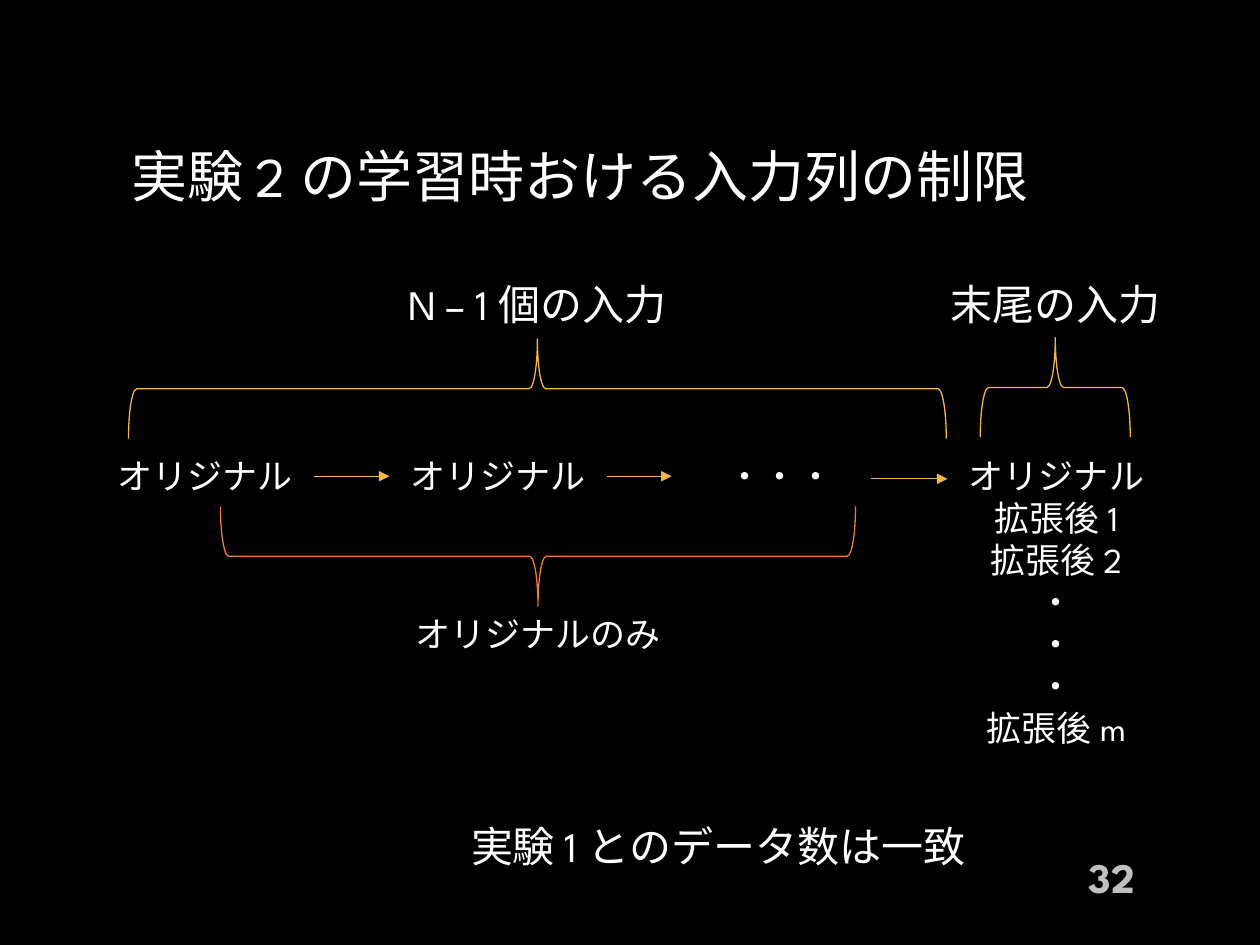
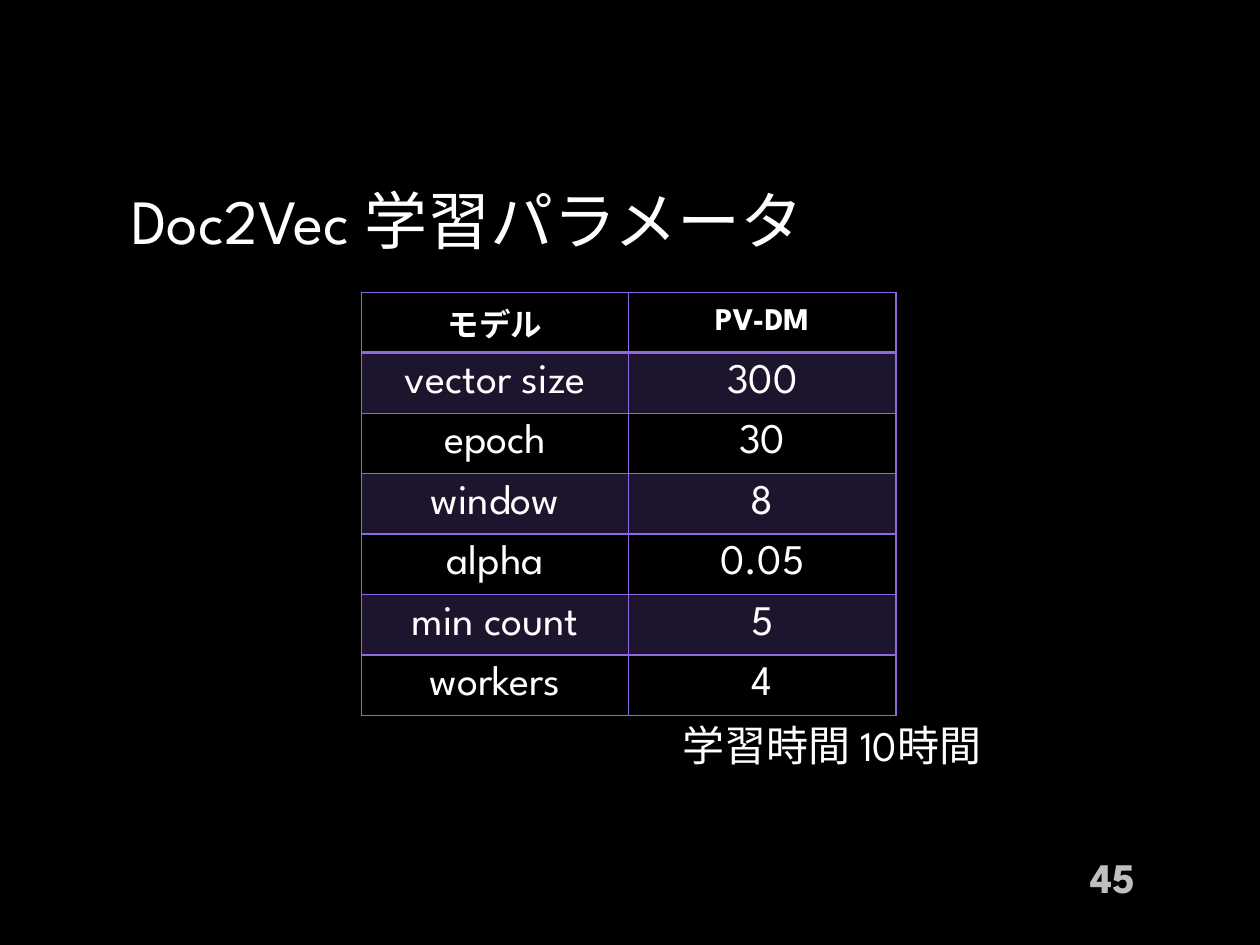
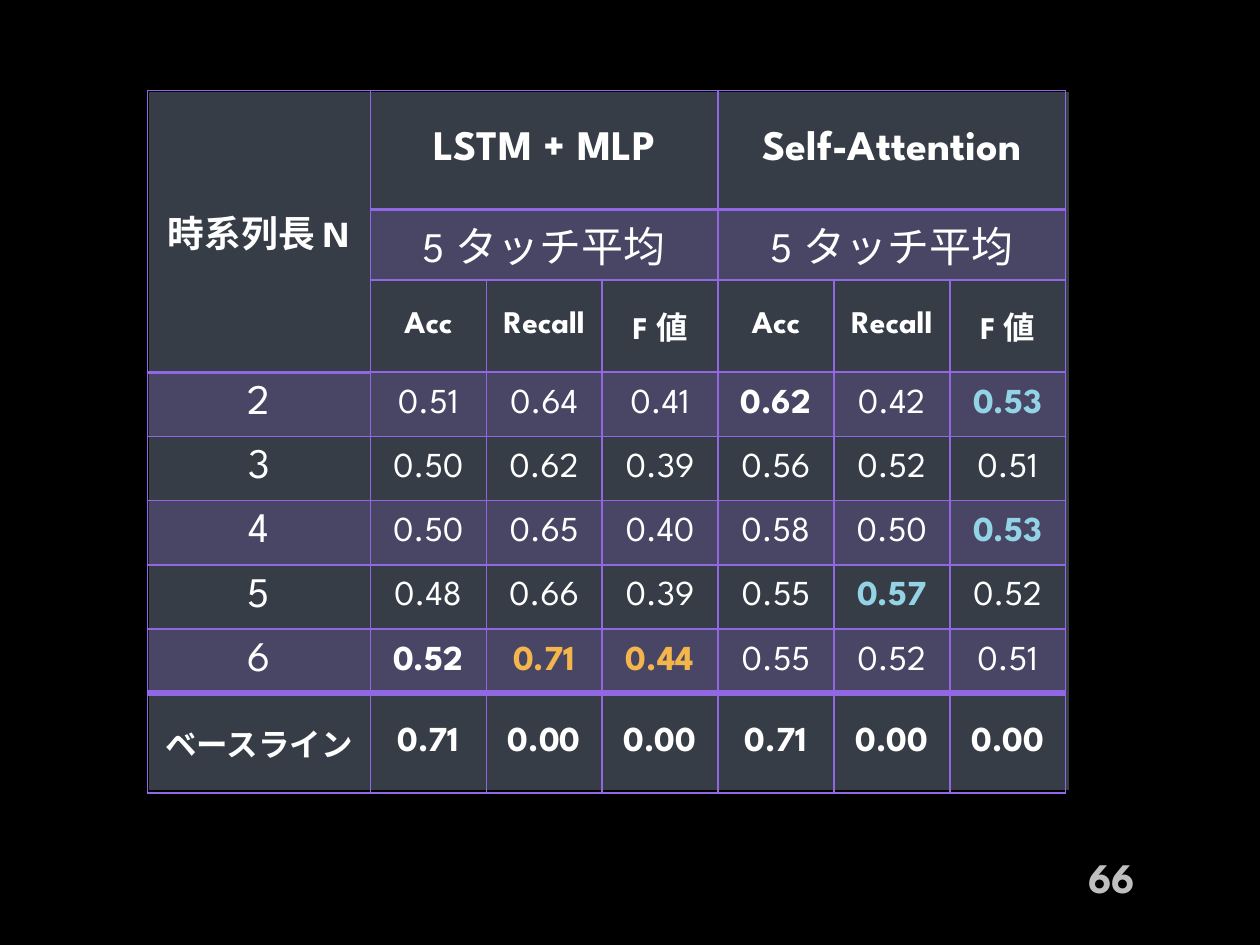
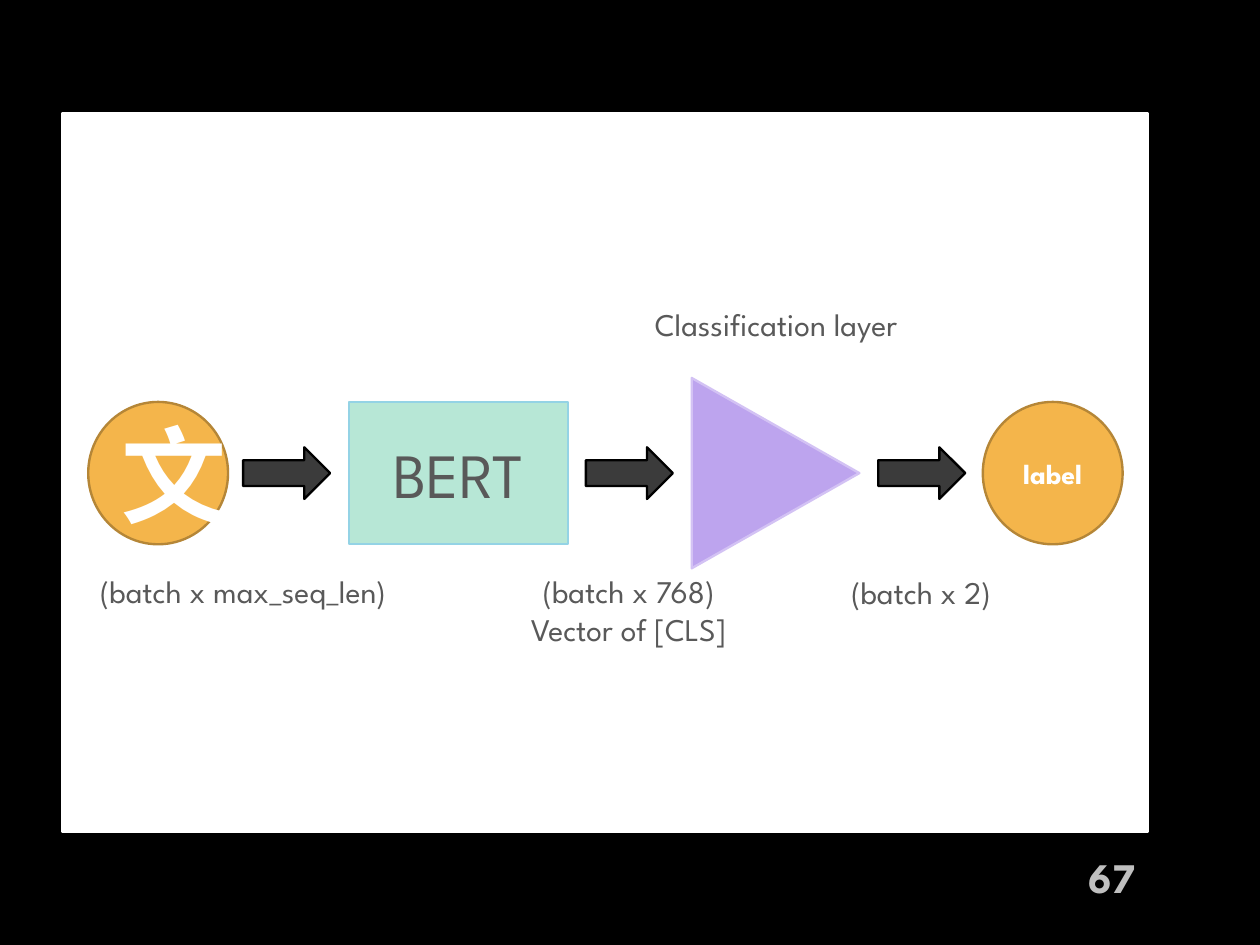
from dataclasses import dataclass

from lxml.etree import SubElement
from pptx import Presentation
from pptx.dml.color import RGBColor
from pptx.enum.shapes import MSO_CONNECTOR, MSO_SHAPE
from pptx.enum.text import MSO_ANCHOR, MSO_AUTO_SIZE, PP_ALIGN
from pptx.oxml.ns import qn
from pptx.util import Inches, Pt


@dataclass(frozen=True)
class Theme:
    """Colours, font and type sizes shared by the slides."""
    font: str = "League Spartan"
    background: str = "000000"
    text: str = "FFFFFF"
    muted: str = "BFBFBF"
    caption: str = "595959"
    orange: str = "F4B54B"
    orange_edge: str = "B58637"
    dark_orange: str = "ED7D31"
    purple: str = "9167E3"
    lilac: str = "BDA4EE"
    lilac_edge: str = "D3C2F4"
    blue: str = "94D3E5"
    mint: str = "B7E7D6"
    slate: str = "363D46"
    arrow: str = "3B3B3B"
    tiny: int = 16
    small: int = 18
    body: int = 20
    row_label: int = 21
    large: int = 24
    title: int = 32
    display: int = 36
    symbol: int = 60
    thin: float = 0.75
    edge: float = 1.35


THEME = Theme()
CELL_MARGINS = (0.07, 0.04, 0.07, 0.04)
TIGHT_MARGINS = (0.01, 0.01, 0.01, 0)


def color(code):
    """Turn a hex code into a colour."""
    return RGBColor.from_string(code)


def inches(values):
    """Turn numbers into lengths."""
    return [Inches(value) for value in values]


def write(frame, lines, size, tint=THEME.text, bold=False, align=PP_ALIGN.CENTER):
    """Write one paragraph per line, all in the same style."""
    for index, line in enumerate(lines):
        para = frame.paragraphs[0] if index == 0 else frame.add_paragraph()
        para.text = line
        para.alignment = align
        para.font.name = THEME.font
        para.font.size = Pt(size)
        para.font.bold = bold
        para.font.color.rgb = color(tint)


def add_text(slide, place, lines, size, **style):
    """Add a wrapping text box that grows with its text."""
    box = slide.shapes.add_textbox(*inches(place))
    box.text_frame.word_wrap = True
    box.text_frame.auto_size = MSO_AUTO_SIZE.SHAPE_TO_FIT_TEXT
    write(box.text_frame, lines, size, **style)
    return box


def add_page(deck, number, title=None, place=None, size=None):
    """Add a slide with its page number and, if given, a title."""
    page = deck.slides.add_slide(deck.slide_layouts[5 if title else 6])
    if title:
        heading = page.shapes.title
        heading.left, heading.top, heading.width, heading.height = inches(place)
        heading.text_frame.auto_size = MSO_AUTO_SIZE.NONE
        heading.text_frame.vertical_anchor = MSO_ANCHOR.MIDDLE
        write(heading.text_frame, [title], size, align=PP_ALIGN.LEFT)
    box = add_text(page, (7.81, 6.76, 1.3, 0.4), [str(number)], THEME.large,
                   tint=THEME.muted, bold=True, align=PP_ALIGN.RIGHT)
    box.text_frame.auto_size = MSO_AUTO_SIZE.NONE
    box.text_frame.vertical_anchor = MSO_ANCHOR.MIDDLE
    return page


def add_figure(slide, kind, place, fill, line, width=THEME.edge):
    """Add a preset shape with a flat fill and outline."""
    figure = slide.shapes.add_shape(kind, *inches(place))
    figure.shadow.inherit = False
    if fill:
        figure.fill.solid()
        figure.fill.fore_color.rgb = color(fill)
    else:
        figure.fill.background()
    figure.line.color.rgb = color(line)
    figure.line.width = Pt(width)
    return figure


def add_brace(slide, left, top, span, rotation, line):
    """Add a horizontal brace over the given span."""
    depth = 0.79
    place = (left + (span - depth) / 2, top - (span - depth) / 2, depth, span)
    brace = add_figure(slide, MSO_SHAPE.LEFT_BRACE, place, None, line, THEME.thin)
    brace.rotation = rotation


def add_arrow(slide, start, end, source=None, target=None):
    """Add a thin arrow, joined to the boxes it runs between."""
    arrow = slide.shapes.add_connector(MSO_CONNECTOR.STRAIGHT, *inches(start + end))
    if source is not None:
        arrow.begin_connect(source, 3)
    if target is not None:
        arrow.end_connect(target, 1)
    arrow.line.color.rgb = color(THEME.orange)
    arrow.line.width = Pt(THEME.thin)
    SubElement(arrow.line._get_or_add_ln(), qn("a:tailEnd"), type="triangle")
    SubElement(arrow._element.spPr, qn("a:effectLst"))


def outline_cell(cell, top, bottom):
    """Draw the four borders of a cell."""
    properties = cell._tc.get_or_add_tcPr()
    for side, width in (("L", 1), ("R", 1), ("T", top), ("B", bottom)):
        line = SubElement(properties, qn(f"a:ln{side}"), w=str(Pt(width)))
        SubElement(SubElement(line, qn("a:solidFill")), qn("a:srgbClr"), val=THEME.purple)


def shade_cell(cell, shaded):
    """Give a cell a translucent band or no fill."""
    if not shaded:
        cell.fill.background()
        return
    cell.fill.solid()
    cell.fill.fore_color.rgb = color(THEME.purple)
    tint = cell._tc.tcPr.find(qn("a:solidFill")).find(qn("a:srgbClr"))
    SubElement(tint, qn("a:alpha"), val="20000")


def add_grid(slide, left, top, widths, heights, shaded_rows, rules):
    """Add an empty table with borders, where rules holds the heavier edges."""
    frame = slide.shapes.add_table(len(heights), len(widths), *inches(
        (left, top, sum(widths), sum(heights))))
    table = frame.table
    table.first_row = table.horz_banding = False
    for column, width in zip(table.columns, widths):
        column.width = Inches(width)
    for row, height in enumerate(heights):
        table.rows[row].height = Inches(height)
        for column in range(len(widths)):
            cell = table.cell(row, column)
            outline_cell(cell, rules.get((row, column), 1), rules.get((row + 1, column), 1))
            shade_cell(cell, row in shaded_rows)
    return table


def write_cell(cell, text, size, margins=CELL_MARGINS, **style):
    """Write centred text into a cell."""
    cell.vertical_anchor = MSO_ANCHOR.MIDDLE
    (cell.margin_left, cell.margin_top,
     cell.margin_right, cell.margin_bottom) = inches(margins)
    write(cell.text_frame, [text], size, **style)


def add_input_limits(deck):
    """Build the slide on the limits of the input sequence."""
    page = add_page(deck, 32, "実験 2 の学習時おける入力列の制限",
                    (0.94, 0.94, 8.12, 0.9), THEME.title)
    first, second, dots = [
        add_text(page, (left, 3.56, 1.73, 0.44), [label], THEME.body)
        for left, label in ((0.76, "オリジナル"), (3.09, "オリジナル"), (5.33, "・・・"))]
    variants = ["オリジナル", "拡張後 1", "拡張後 2", "・", "・", "・", "拡張後 m"]
    add_text(page, (7.52, 3.56, 1.73, 2.46), variants, THEME.body)
    add_arrow(page, (2.49, 3.78), (3.09, 3.78), first, second)
    add_arrow(page, (4.82, 3.78), (5.33, 3.78), second, dots)
    add_arrow(page, (6.91, 3.8), (7.52, 3.8))
    add_brace(page, 1.02, 2.69, 6.49, 90, THEME.orange)
    add_brace(page, 7.78, 2.68, 1.19, 90, THEME.orange)
    add_brace(page, 1.75, 4.02, 5.04, 270, THEME.dark_orange)
    add_text(page, (2.87, 2.16, 2.79, 0.5), ["N – 1 個の入力"], THEME.large)
    add_text(page, (7.37, 2.16, 2.01, 0.5), ["末尾の入力"], THEME.large)
    add_text(page, (3.17, 4.81, 2.2, 0.44), ["オリジナルのみ"], THEME.body)
    add_text(page, (3.64, 6.46, 4.57, 0.5), ["実験 1 とのデータ数は一致"],
             THEME.large, align=PP_ALIGN.LEFT)


def add_parameters(deck):
    """Build the slide with the training parameters."""
    page = add_page(deck, 45, "Doc2Vec 学習パラメータ",
                    (0.94, 1.44, 8.12, 0.6), THEME.display)
    rows = [("モデル", "PV-DM"), ("vector size", "300"), ("epoch", "30"), ("window", "8"),
            ("alpha", "0.05"), ("min count", "5"), ("workers", "4")]
    table = add_grid(page, 2.87, 2.32, [2.12] * 2, [0.48] * len(rows),
                     (1, 3, 5), {(1, 0): 2, (1, 1): 2})
    for row, values in enumerate(rows):
        header = row == 0
        for column, value in enumerate(values):
            write_cell(table.cell(row, column), value,
                       THEME.small if header else THEME.large, bold=header)
    add_text(page, (5.32, 5.66, 2.7, 0.5), ["学習時間 10時間"],
             THEME.large, align=PP_ALIGN.LEFT)


def add_results(deck):
    """Build the slide that compares the two models."""
    page = add_page(deck, 66)
    add_figure(page, MSO_SHAPE.RECTANGLE, (1.17, 0.72, 7.32, 5.56),
               THEME.slate, THEME.background)
    rules = {(1, column): 2 for column in range(1, 7)}
    rules.update({(8, column): 4 for column in range(7)})
    rules[3, 0] = 2
    table = add_grid(page, 1.17, 0.72, [1.77] + [0.92] * 6,
                     [0.94, 0.51, 0.73] + [0.51] * 5 + [0.79], (1, 3, 5, 7), rules)
    table.cell(0, 0).merge(table.cell(2, 0))
    write_cell(table.cell(0, 0), "時系列長 N", THEME.row_label, bold=True)
    for column, model in ((1, "LSTM + MLP"), (4, "Self-Attention")):
        for row, label in enumerate((model, "5 タッチ平均")):
            table.cell(row, column).merge(table.cell(row, column + 2))
            write_cell(table.cell(row, column), label, THEME.large, bold=row == 0)
        for offset, metric in enumerate(("Acc", "Recall", "F 値")):
            write_cell(table.cell(2, column + offset), metric, THEME.small, bold=True)
    scores = [
        ("2", "0.51", "0.64", "0.41", "0.62", "0.42", "0.53"),
        ("3", "0.50", "0.62", "0.39", "0.56", "0.52", "0.51"),
        ("4", "0.50", "0.65", "0.40", "0.58", "0.50", "0.53"),
        ("5", "0.48", "0.66", "0.39", "0.55", "0.57", "0.52"),
        ("6", "0.52", "0.71", "0.44", "0.55", "0.52", "0.51"),
    ]
    best = {(3, 4): THEME.text, (3, 6): THEME.blue, (5, 6): THEME.blue,
            (6, 5): THEME.blue, (7, 1): THEME.text,
            (7, 2): THEME.orange, (7, 3): THEME.orange}
    for row, (length, *values) in enumerate(scores, 3):
        write_cell(table.cell(row, 0), length, THEME.large)
        for column, value in enumerate(values, 1):
            spot = (row, column)
            write_cell(table.cell(row, column), value, THEME.body, TIGHT_MARGINS,
                       tint=best.get(spot, THEME.text), bold=spot in best)
    write_cell(table.cell(8, 0), "ベースライン", THEME.small, bold=True)
    for column, value in enumerate(("0.71", "0.00", "0.00") * 2, 1):
        write_cell(table.cell(8, column), value, THEME.body, bold=True)


def add_model(deck):
    """Build the slide with the classifier diagram."""
    page = add_page(deck, 67)
    add_figure(page, MSO_SHAPE.RECTANGLE, (0.49, 0.9, 8.62, 5.7), THEME.text, THEME.text)
    for left, label, size in ((0.7, "文", THEME.symbol), (7.8, "label", THEME.tiny)):
        circle = add_figure(page, MSO_SHAPE.OVAL, (left, 3.19, 1.11, 1.13),
                            THEME.orange, THEME.orange_edge)
        write(circle.text_frame, [label], size, bold=True)
    encoder = add_figure(page, MSO_SHAPE.RECTANGLE, (2.77, 3.19, 1.74, 1.13),
                         THEME.mint, THEME.blue)
    write(encoder.text_frame, ["BERT"], THEME.display, tint=THEME.caption)
    classifier = add_figure(page, MSO_SHAPE.ISOSCELES_TRIANGLE, (5.4, 3.09, 1.51, 1.33),
                            THEME.lilac, THEME.lilac_edge)
    classifier.rotation = 90
    for left in (1.93, 4.65, 6.97):
        add_figure(page, MSO_SHAPE.RIGHT_ARROW, (left, 3.55, 0.69, 0.41),
                   THEME.arrow, THEME.background)
    captions = [
        ((5, 2.37, 2.32, 0.71), "Classification layer"),
        ((0.31, 4.49, 3.24, 0.4), "(batch x max_seq_len)"),
        ((3.37, 4.49, 3.24, 0.4), "(batch x 768)"),
        ((3.37, 4.79, 3.24, 0.4), "Vector of [CLS]"),
        ((5.69, 4.5, 3.24, 0.4), "(batch x 2)"),
    ]
    for place, caption in captions:
        add_text(page, place, [caption], THEME.small, tint=THEME.caption)


def main():
    """Build the deck and save it."""
    deck = Presentation()
    deck.slide_width, deck.slide_height = inches((10, 7.5))
    backdrop = deck.slide_master.background.fill
    backdrop.solid()
    backdrop.fore_color.rgb = color(THEME.background)
    add_input_limits(deck)
    add_parameters(deck)
    add_results(deck)
    add_model(deck)
    deck.save("out.pptx")


if __name__ == "__main__":
    main()
